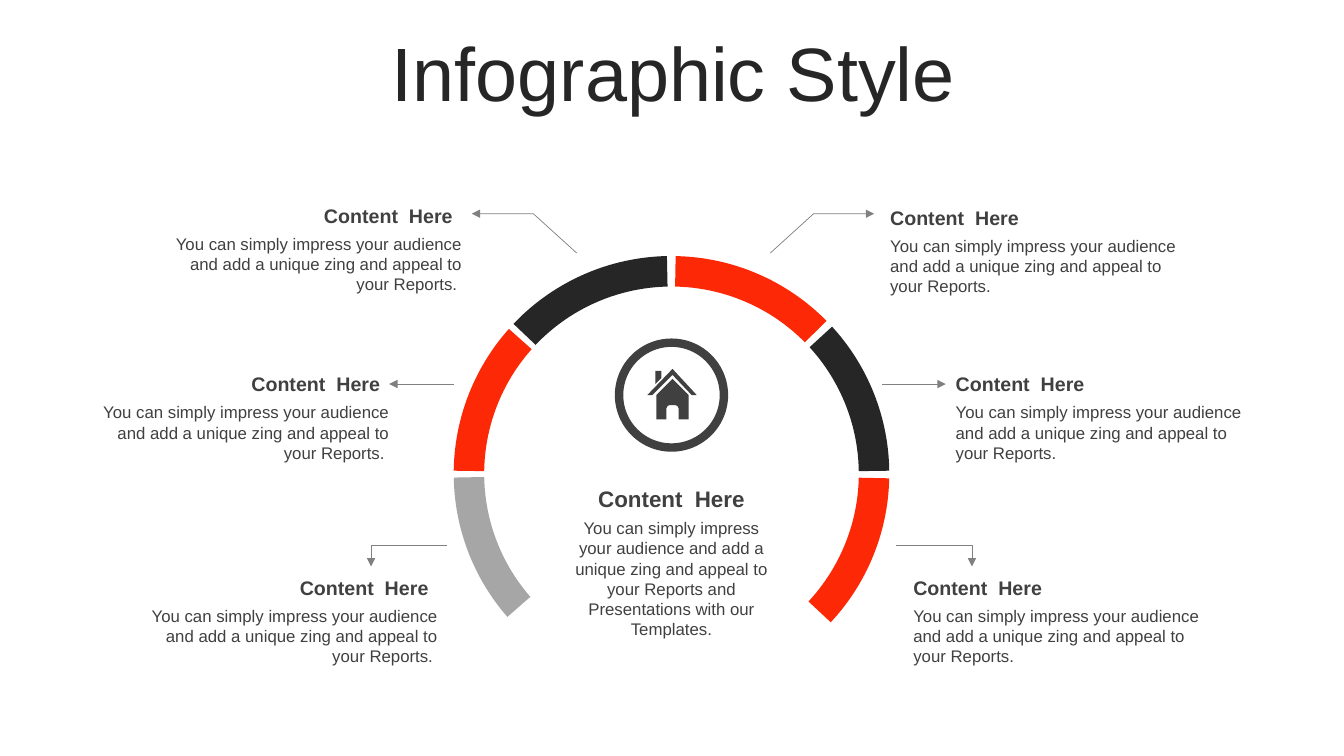
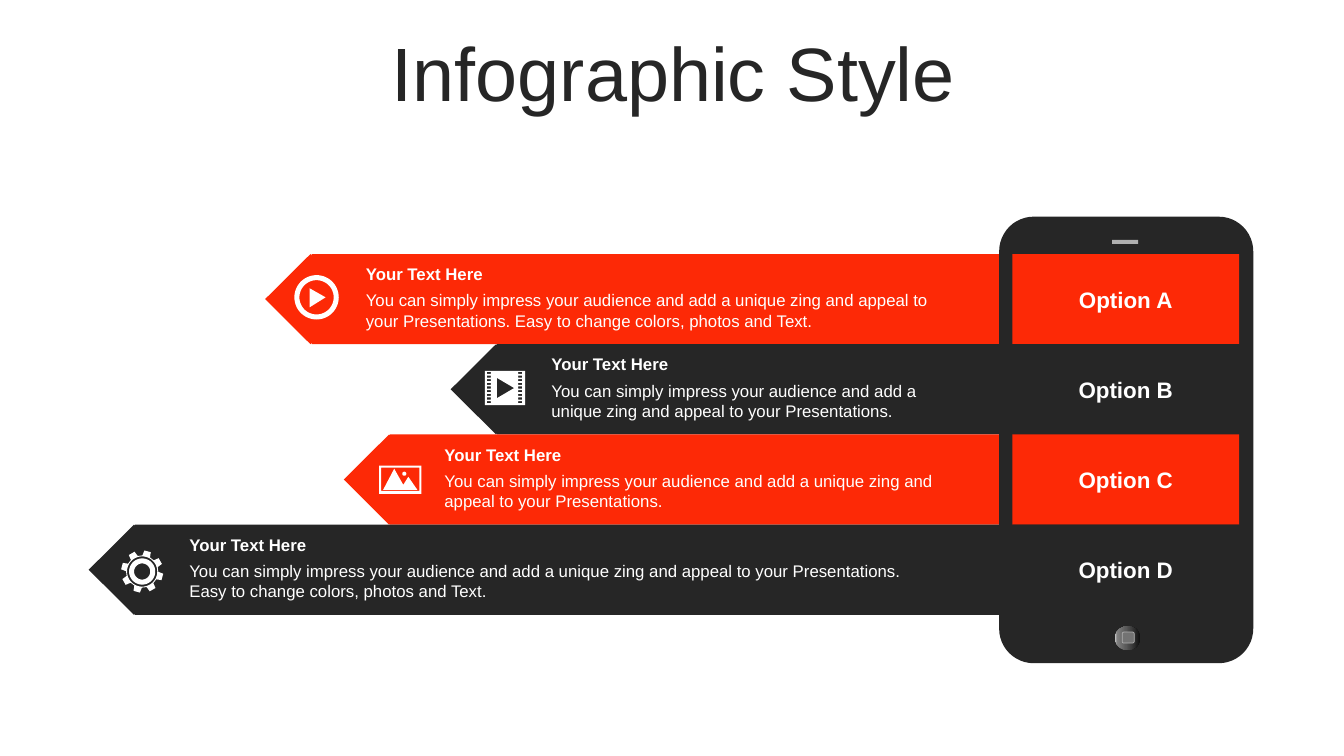
from dataclasses import dataclass
from math import cos, radians, sin

from lxml import etree
from pptx import Presentation
from pptx.dml.color import RGBColor
from pptx.enum.shapes import MSO_CONNECTOR, MSO_SHAPE
from pptx.enum.text import MSO_ANCHOR, MSO_AUTO_SIZE, PP_ALIGN
from pptx.oxml.ns import qn
from pptx.util import Inches, Pt

LEFT, MID, RIGHT = PP_ALIGN.LEFT, PP_ALIGN.CENTER, PP_ALIGN.RIGHT
CENTER = MSO_ANCHOR.MIDDLE
FIXED = MSO_AUTO_SIZE.NONE
RECT, ROUND = MSO_SHAPE.RECTANGLE, MSO_SHAPE.ROUNDED_RECTANGLE
OVAL, ARC, DIAMOND = MSO_SHAPE.OVAL, MSO_SHAPE.BLOCK_ARC, MSO_SHAPE.DIAMOND
STRAIGHT = MSO_CONNECTOR.STRAIGHT
TITLE_ONLY = 5


@dataclass(frozen=True)
class Theme:
    font: str = "Arial"
    red: str = "FD2906"
    dark: str = "262626"
    gray: str = "A6A6A6"
    ink: str = "404040"
    rule: str = "808080"
    white: str = "FFFFFF"
    silver: str = "B0B0B0"
    steel: str = "737373"
    title: int = 54
    large: int = 16
    head: int = 14
    body: int = 12


T = Theme()
TITLE = "Infographic Style"
LABEL = "Content  Here"
PITCH = "You can simply impress your audience and add a unique zing and appeal to your "
REPORT = PITCH + "Reports."
SHORT = PITCH + "Presentations."
LONG = SHORT + " Easy to change colors, photos and Text."


def rgb(code):
    return RGBColor.from_string(code)


def write(frame, text, size=T.body, color=T.ink, bold=False, align=LEFT, space=None):
    frame.word_wrap = True
    par = frame.paragraphs[0]
    par.alignment = align
    par.line_spacing = space
    run = par.add_run()
    run.text = text
    font = run.font
    font.name, font.size, font.bold = T.font, Pt(size), bold
    font.color.rgb = rgb(color)


def label(slide, box, text, **style):
    shape = slide.shapes.add_textbox(*map(Inches, box))
    write(shape.text_frame, text, **style)


def paint(shape, fill=None, line=None, width=0.5):
    shape.shadow.inherit = False
    if fill:
        shape.fill.solid()
        shape.fill.fore_color.rgb = rgb(fill)
    else:
        shape.fill.background()
    if line:
        ink(shape, line, width)
    else:
        shape.line.fill.background()


def ink(shape, color, width):
    shape.line.color.rgb = rgb(color)
    shape.line.width = Pt(width)


def block(slide, kind, box, fill=None, adjust=(), **style):
    shape = slide.shapes.add_shape(kind, *map(Inches, box))
    for i, value in enumerate(adjust):
        shape.adjustments[i] = value
    paint(shape, fill, **style)
    return shape


def trace(slide, loops, close=True):
    loops = [[(Inches(x), Inches(y)) for x, y in loop] for loop in loops]
    pen = slide.shapes.build_freeform(*loops[0][0], scale=1.0)
    for i, loop in enumerate(loops):
        if i:
            pen.move_to(*loop[0])
        pen.add_line_segments(loop[1:], close=close)
    return pen.convert_to_shape()


def icon(slide, loops, color):
    paint(trace(slide, loops), color)


def arrow(slide, points):
    if len(points) == 2:
        start, end = points
        shape = slide.shapes.add_connector(STRAIGHT, *map(Inches, start + end))
        ink(shape, T.rule, 0.5)
        etree.SubElement(shape._element.spPr, qn("a:effectLst"))
    else:
        shape = trace(slide, [points], close=False)
        paint(shape, line=T.rule)
    tip = etree.SubElement(shape._element.spPr.find(qn("a:ln")), qn("a:tailEnd"))
    tip.set("type", "triangle")


def blend(shape, stops, angle):
    shape.fill.gradient()
    shape.fill.gradient_angle = angle
    group = shape._element.spPr.find(qn("a:gradFill")).find(qn("a:gsLst"))
    for old in list(group):
        group.remove(old)
    for place, color in stops:
        stop = etree.SubElement(group, qn("a:gs"), pos=str(place * 1000))
        etree.SubElement(stop, qn("a:srgbClr"), val=color)


def polar(x, y, size, angle):
    return x + size * cos(radians(angle)), y + size * sin(radians(angle))


def ring(x, y, size):
    return [polar(x, y, size, a) for a in range(0, 360, 6)]


def quad(x, y, w, h):
    return [(x, y), (x + w, y), (x + w, y + h), (x, y + h)]


def house():
    walls = [(6.67, 3.76), (6.83, 3.92), (6.83, 4.16), (6.73, 4.16), (6.73, 4.05),
             (6.72, 4.03), (6.7, 4.02), (6.64, 4.02), (6.62, 4.03), (6.61, 4.05),
             (6.61, 4.16), (6.51, 4.16), (6.51, 3.92)]
    stack = [(6.5, 3.68), (6.56, 3.68), (6.56, 3.75), (6.5, 3.81)]
    roof = [(6.67, 3.66), (6.91, 3.92), (6.86, 3.92),
            (6.67, 3.72), (6.47, 3.92), (6.42, 3.92)]
    return [walls, stack, roof]


def play():
    x, y = 3.14, 2.95
    return [ring(x, y, 0.22), ring(x, y, 0.17),
            [(3.07, 2.86), (3.23, 2.95), (3.07, 3.05)]]


def film():
    holes = [quad(x, 3.69 + row * 0.29 / 8, 0.04, 0.02)
             for x in (4.83, 5.14) for row in range(9)]
    return [quad(4.81, 3.68, 0.4, 0.34), [(4.93, 3.75), (5.1, 3.85), (4.93, 3.95)], *holes]


def photo():
    hills = [(3.91, 4.65), (4, 4.81), (4.05, 4.73), (4.14, 4.86), (3.8, 4.86)]
    return [quad(3.76, 4.62, 0.42, 0.28), quad(3.78, 4.64, 0.38, 0.23),
            hills, ring(4.01, 4.7, 0.02)]


def gear():
    x, y = 1.41, 5.67
    teeth = [polar(x, y, size, 15 + 45 * i + turn) for i in range(8)
             for turn, size in ((-14, 0.16), (-9, 0.21), (9, 0.21), (14, 0.16))]
    return [teeth, *(ring(x, y, size) for size in (0.15, 0.13, 0.08))]


def start(deck):
    slide = deck.slides.add_slide(deck.slide_layouts[TITLE_ONLY])
    title = slide.shapes.title
    title.left, title.top, title.width, title.height = map(Inches, (0.35, 0.37, 12.66, 0.79))
    frame = title.text_frame
    frame.auto_size = FIXED
    frame.vertical_anchor = CENTER
    write(frame, TITLE, size=T.title, color=T.dark, align=MID, space=0.9)
    return slide


def note(slide, x, y, align):
    right = align == RIGHT
    label(slide, (x, y, 2.96 if right else 3.09, 0.34), LABEL,
          size=T.head, bold=True, align=align)
    label(slide, (x, y + 0.3, 3.05 if right else 3.09, 0.71),
          REPORT + " " * right, align=align)


def wheel(deck):
    slide = start(deck)
    for first, last, color in (
        (1.2, 43, T.red), (138.9, 179, T.gray), (180.8, 221.7, T.red),
        (223.5, 268.8, T.dark), (271.1, 315.4, T.red), (317.5, 359.2, T.dark),
    ):
        block(slide, ARC, (4.5, 2.54, 4.32, 4.32), color, (first * 0.6, last * 0.6, 0.07))
    for x, y, align in (
        (8.73, 1.99, LEFT), (9.38, 3.64, LEFT), (8.96, 5.66, LEFT),
        (1.63, 1.97, RIGHT), (0.91, 3.64, RIGHT), (1.39, 5.66, RIGHT),
    ):
        note(slide, x, y, align)
    label(slide, (5.52, 4.76, 2.28, 0.37), LABEL, size=T.large, bold=True, align=MID)
    label(slide, (5.52, 5.09, 2.28, 1.31),
          PITCH + "Reports and Presentations with our Templates.", align=MID)
    block(slide, OVAL, (6.14, 3.4, 1.04, 1.04), line=T.ink, width=6)
    for points in (
        ((7.64, 2.51), (8.07, 2.12), (8.67, 2.12)),
        ((5.72, 2.51), (5.29, 2.12), (4.68, 2.12)),
        ((8.75, 3.81), (9.38, 3.81)),
        ((4.5, 3.81), (3.86, 3.81)),
        ((4.43, 5.41), (3.68, 5.41), (3.68, 5.62)),
        ((8.89, 5.41), (9.64, 5.41), (9.64, 5.62)),
    ):
        arrow(slide, points)
    icon(slide, house(), T.ink)


def phone(slide):
    block(slide, ROUND, (9.91, 2.15, 2.52, 4.43), T.dark, (0.136,))
    block(slide, RECT, (11.03, 2.38, 0.26, 0.04), T.silver)
    knob = block(slide, OVAL, (11.06, 6.21, 0.25, 0.24))
    blend(knob, ((0, "0F0F0F"), (56, "595959"), (91, "808080"), (100, "BFBFBF")), 180)
    block(slide, ROUND, (11.13, 6.27, 0.12, 0.11), T.steel, line=T.silver)


def banner(slide, x, y, step, color, text):
    block(slide, RECT, (x + 0.46, y, 9.46 - x, step), color)
    block(slide, DIAMOND, (x, y, 0.9, step), color)
    wide = 8.48 - x
    label(slide, (x + 0.9, y + 0.05, wide, 0.3), "Your Text Here", color=T.white, bold=True)
    label(slide, (x + 0.9, y + 0.31, wide, 0.5), text, color=T.white)


def menu(deck):
    slide = start(deck)
    rows = (
        (2.63, T.red, LONG, play, "Option A"),
        (4.47, T.dark, SHORT, film, "Option B"),
        (3.41, T.red, SHORT, photo, "Option C"),
        (0.88, T.dark, LONG, gear, "Option D"),
    )
    top = 2.52
    step = (6.1 - top) / len(rows)
    for i, (x, color, text, draw, _) in enumerate(rows):
        banner(slide, x, top + i * step, step, color, text)
        icon(slide, draw(), T.white)
    phone(slide)
    for i, (_, color, _, _, name) in enumerate(rows):
        cell = block(slide, RECT, (10.04, top + i * step, 2.25, step), color)
        cell.text_frame.vertical_anchor = CENTER
        write(cell.text_frame, name, size=T.large, color=T.white, bold=True, align=MID)


def main():
    deck = Presentation()
    deck.slide_width, deck.slide_height = Inches(13.33), Inches(7.5)
    wheel(deck)
    menu(deck)
    deck.save("out.pptx")


if __name__ == "__main__":
    main()
